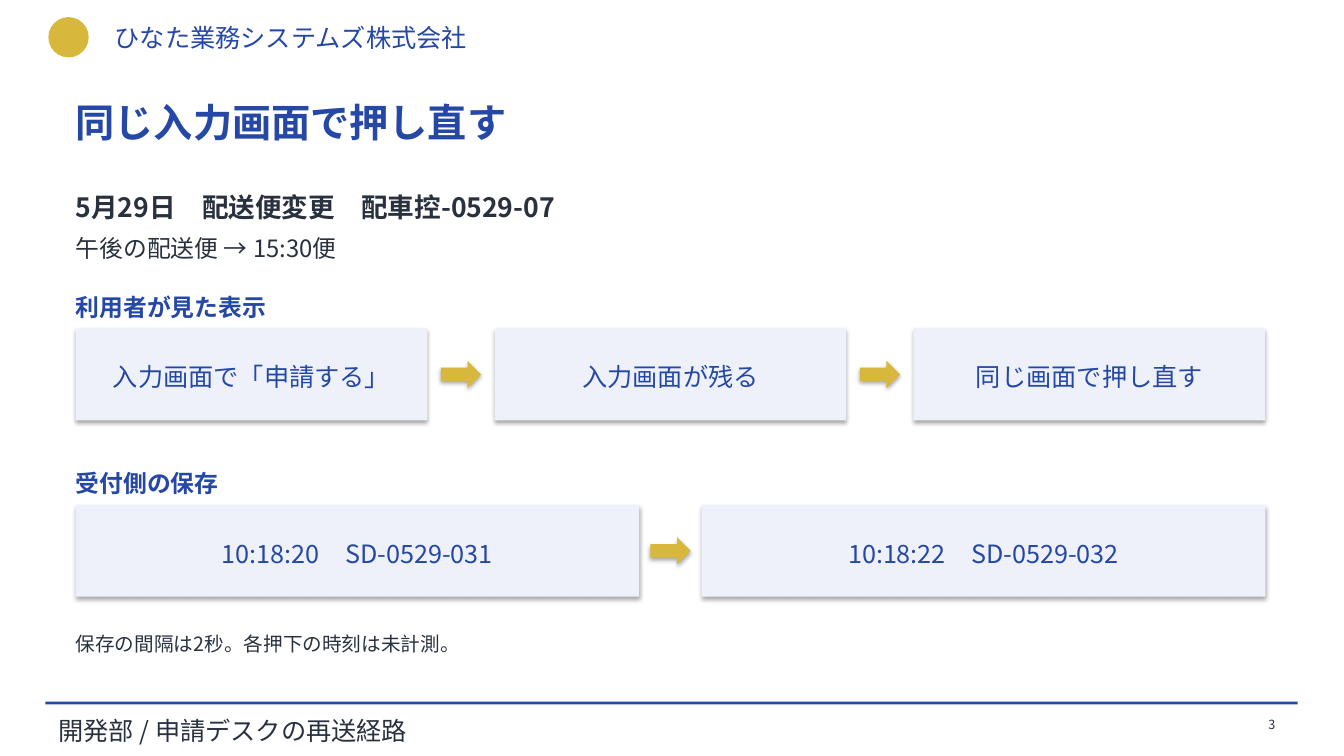
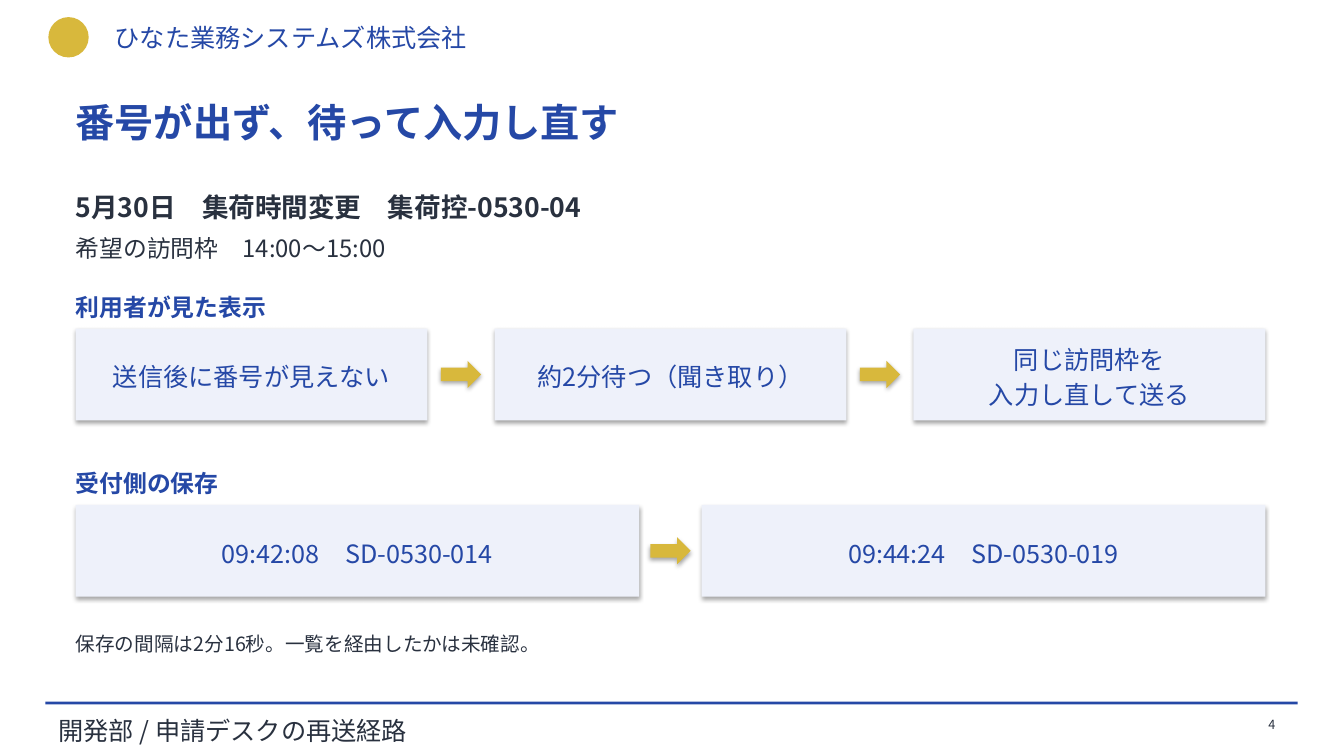
from dataclasses import dataclass

from pptx import Presentation
from pptx.dml.color import RGBColor
from pptx.enum.shapes import MSO_SHAPE
from pptx.enum.text import MSO_ANCHOR, MSO_AUTO_SIZE, PP_ALIGN
from pptx.oxml.ns import qn
from pptx.oxml.xmlchemy import OxmlElement
from pptx.util import Inches, Pt

RECTANGLE, ELLIPSE, ARROW = MSO_SHAPE.RECTANGLE, MSO_SHAPE.OVAL, MSO_SHAPE.RIGHT_ARROW
LEFT, CENTER, RIGHT = PP_ALIGN.LEFT, PP_ALIGN.CENTER, PP_ALIGN.RIGHT
TOP, MIDDLE = MSO_ANCHOR.TOP, MSO_ANCHOR.MIDDLE
GROW = MSO_AUTO_SIZE.SHAPE_TO_FIT_TEXT
TITLE_ONLY = 5


@dataclass(frozen=True)
class Theme:
    font: str = "Noto Sans CJK JP"
    blue: str = "2548A6"
    gold: str = "D8B83C"
    pale: str = "EEF1FA"
    ink: str = "29313F"
    title: int = 28
    case: int = 19
    heading: int = 17
    label: int = 18
    note: int = 14
    page: int = 9
    line_spacing: float = 1.16


THEME = Theme()
MARGIN, CONTENT_WIDTH = 0.75, 11.8
STEP_HEIGHT = 0.91
ARROW_WIDTH, ARROW_HEIGHT = 0.4, 0.27

CASES = [
    {
        "page": 3,
        "title": "同じ入力画面で押し直す",
        "case": "5月29日　配送便変更　配車控-0529-07",
        "request": "午後の配送便 → 15:30便",
        "seen": ["入力画面で「申請する」", "入力画面が残る", "同じ画面で押し直す"],
        "saved": ["10:18:20　SD-0529-031", "10:18:22　SD-0529-032"],
        "note": "保存の間隔は2秒。各押下の時刻は未計測。",
    },
    {
        "page": 4,
        "title": "番号が出ず、待って入力し直す",
        "case": "5月30日　集荷時間変更　集荷控-0530-04",
        "request": "希望の訪問枠　14:00〜15:00",
        "seen": ["送信後に番号が見えない", "約2分待つ（聞き取り）", "同じ訪問枠を\n入力し直して送る"],
        "saved": ["09:42:08　SD-0530-014", "09:44:24　SD-0530-019"],
        "note": "保存の間隔は2分16秒。一覧を経由したかは未確認。",
    },
]


def write(frame, text, size, color, bold=False, align=LEFT, spacing=THEME.line_spacing):
    paragraph = frame.paragraphs[0]
    paragraph.text = text
    paragraph.alignment = align
    paragraph.line_spacing = spacing
    font = paragraph.font
    font.name = THEME.font
    font.size = Pt(size)
    font.bold = bold
    font.color.rgb = RGBColor.from_string(color)
    # Japanese glyphs take their typeface from a:ea
    east_asian = OxmlElement("a:ea")
    east_asian.set("typeface", THEME.font)
    paragraph._p.find(".//" + qn("a:latin")).addnext(east_asian)


def set_insets(frame, side):
    frame.margin_left = frame.margin_right = Inches(side)
    frame.margin_top = frame.margin_bottom = Inches(0.04)
    frame.vertical_anchor = MIDDLE


def add_filled(slide, kind, left, top, width, height, color, shadow=False):
    """Add a borderless shape; with shadow, it keeps the theme's own."""
    shape = slide.shapes.add_shape(
        kind, Inches(left), Inches(top), Inches(width), Inches(height))
    shape.fill.solid()
    shape.fill.fore_color.rgb = RGBColor.from_string(color)
    shape.line.fill.background()
    if not shadow:
        shape.shadow.inherit = False
    return shape


def add_line_of_text(slide, text, top, height, size, color=THEME.ink, bold=False,
                     left=MARGIN, width=CONTENT_WIDTH, align=LEFT):
    box = slide.shapes.add_textbox(
        Inches(left), Inches(top), Inches(width), Inches(height))
    frame = box.text_frame
    frame.word_wrap = True
    frame.auto_size = GROW
    set_insets(frame, 0)
    write(frame, text, size, color, bold, align)


def add_band_text(slide, text, left, top, width, height, color):
    box = slide.shapes.add_textbox(
        Inches(left), Inches(top), Inches(width), Inches(height))
    box.text_frame.word_wrap = False
    box.text_frame.auto_size = GROW
    write(box.text_frame, text, THEME.label, color, spacing=None)
    return box


def add_steps(slide, heading, labels, top, step_width):
    """Add a headed row of steps across the content width, arrows between."""
    add_line_of_text(slide, heading, top - 0.39, 0.3, THEME.heading, THEME.blue, True)
    gap = (CONTENT_WIDTH - step_width * len(labels)) / (len(labels) - 1)
    for index, label in enumerate(labels):
        left = MARGIN + index * (step_width + gap)
        if index:
            add_filled(slide, ARROW, left - (gap + ARROW_WIDTH) / 2,
                       top + (STEP_HEIGHT - ARROW_HEIGHT) / 2,
                       ARROW_WIDTH, ARROW_HEIGHT, THEME.gold, shadow=True)
        step = add_filled(slide, RECTANGLE, left, top, step_width, STEP_HEIGHT,
                          THEME.pale, shadow=True)
        set_insets(step.text_frame, 0.1)
        write(step.text_frame, label, THEME.label, THEME.blue, align=CENTER)


def prepare_layout(layout, slide):
    """Draw the shared bands on a slide, then move them to its layout."""
    title = layout.placeholders[0]
    title.left, title.top = Inches(0.65), Inches(0.85)
    title.width, title.height = Inches(12), Inches(1)
    title.text_frame.vertical_anchor = TOP
    bands = [
        add_filled(slide, ELLIPSE, 0.48, 0.17, 0.4, 0.4, THEME.gold),
        add_band_text(slide, "ひなた業務システムズ株式会社", 1.04, 0.17, 7, 0.34, THEME.blue),
        add_filled(slide, RECTANGLE, 0.45, 6.96, 12.42, 0.03, THEME.blue),
        add_band_text(slide, "開発部 / 申請デスクの再送経路", 0.48, 7.05, 10, 0.26, THEME.ink),
    ]
    for band in bands:
        layout.shapes.element.append(band.element)


def fill_case(slide, case):
    write(slide.shapes.title.text_frame, case["title"], THEME.title, THEME.blue, True)
    add_line_of_text(slide, case["case"], 1.85, 0.36, THEME.case, bold=True)
    add_line_of_text(slide, case["request"], 2.27, 0.33, THEME.heading)
    add_steps(slide, "利用者が見た表示", case["seen"], 3.26, 3.49)
    add_steps(slide, "受付側の保存", case["saved"], 5.01, 5.59)
    add_line_of_text(slide, case["note"], 6.19, 0.35, THEME.note)
    add_line_of_text(slide, str(case["page"]), 7.03, 0.3, THEME.page,
                     left=12.05, width=0.6, align=RIGHT)


def main():
    prs = Presentation()
    prs.slide_width, prs.slide_height = Inches(13.33), Inches(7.5)
    layout = prs.slide_layouts[TITLE_ONLY]
    slides = [prs.slides.add_slide(layout) for _ in CASES]
    prepare_layout(layout, slides[0])
    for slide, case in zip(slides, CASES):
        fill_case(slide, case)
    prs.save("out.pptx")


if __name__ == "__main__":
    main()
